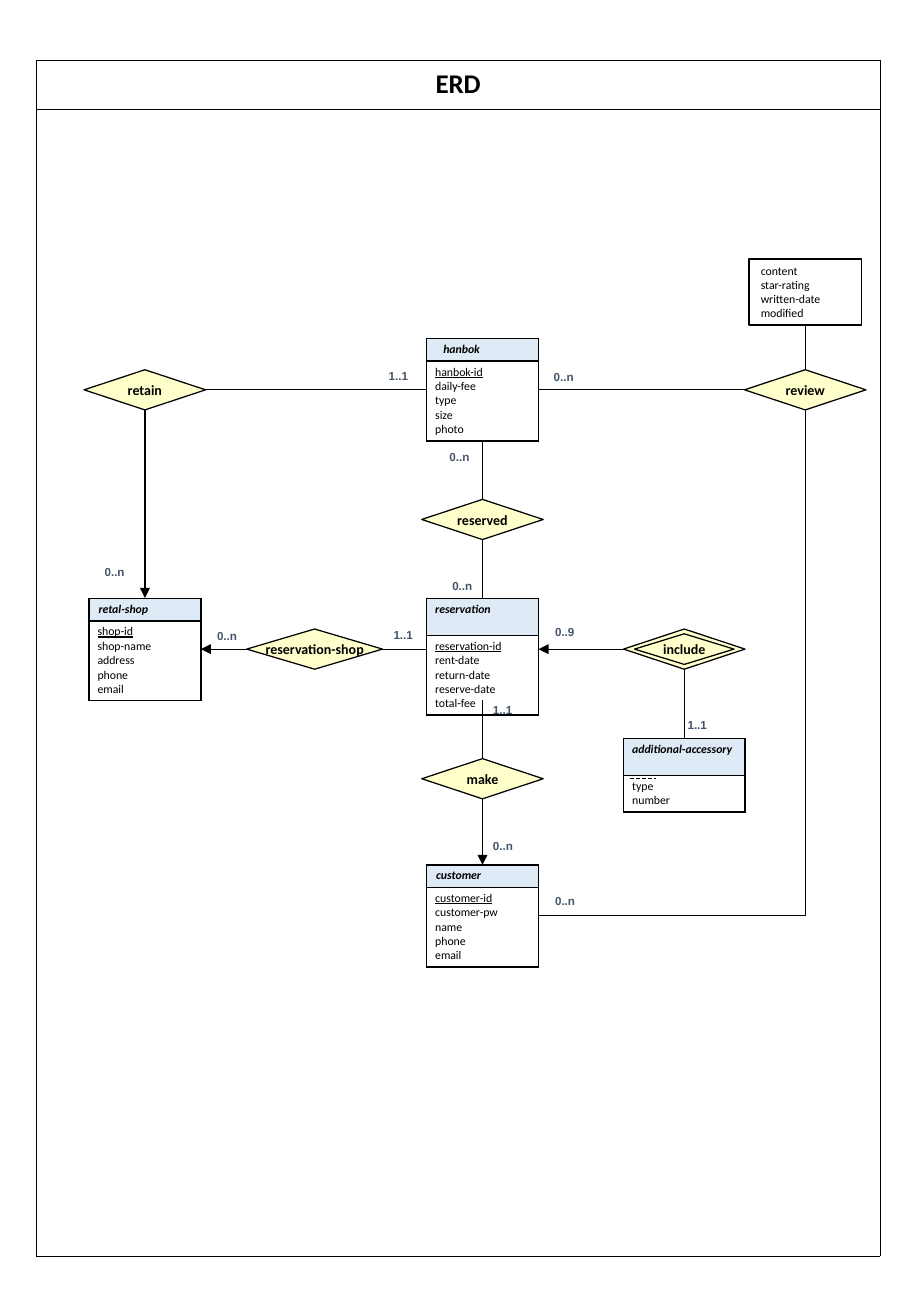
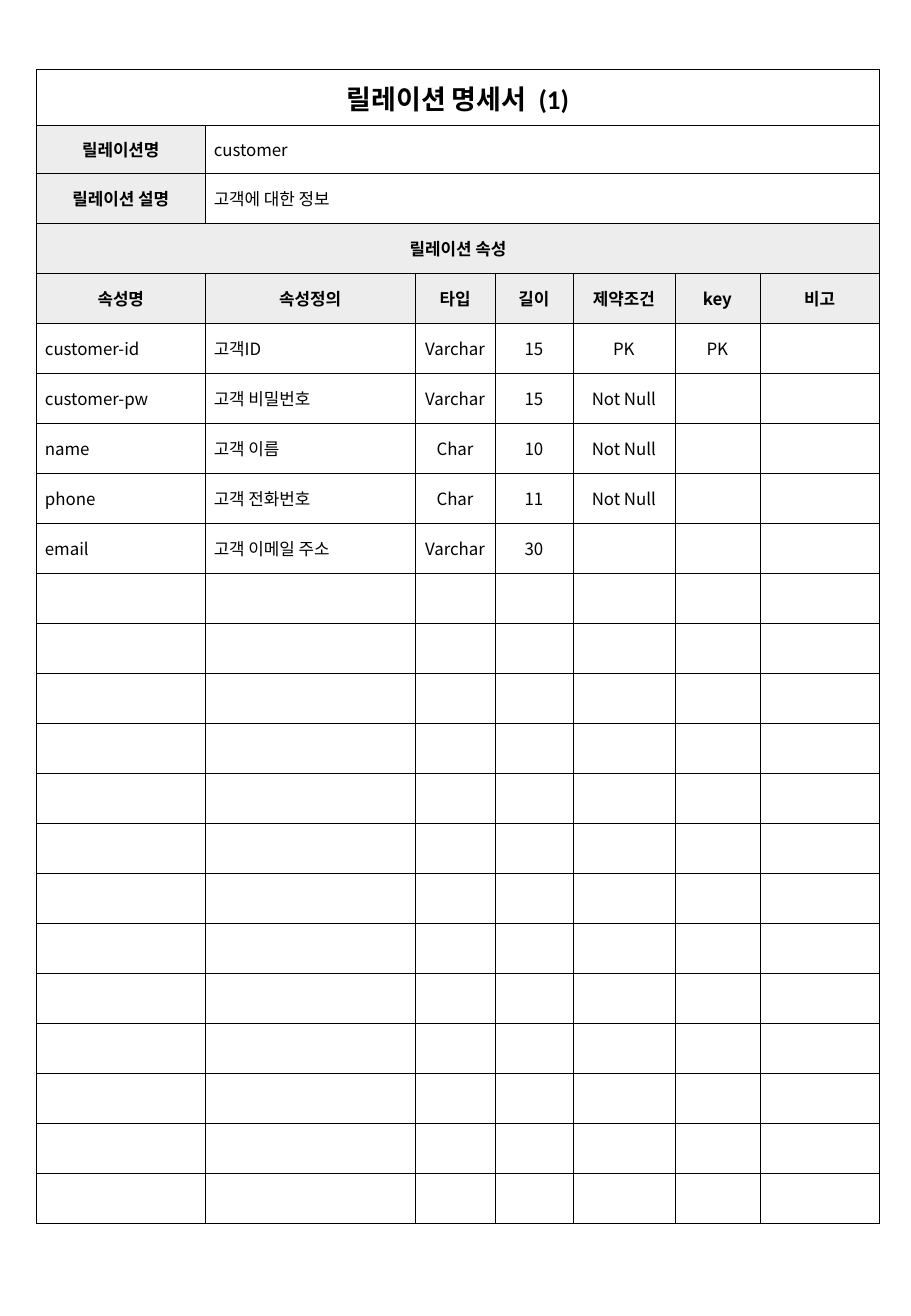
from lxml import etree
from pptx import Presentation
from pptx.dml.color import RGBColor
from pptx.enum import dml, shapes, text
from pptx.oxml import ns
from pptx.util import Cm, Pt

BLACK = RGBColor(0x00, 0x00, 0x00)
WHITE = RGBColor(0xFF, 0xFF, 0xFF)
HEADER_BLUE = RGBColor(0xDE, 0xEB, 0xF7)
HEADER_GREY = RGBColor(0xED, 0xED, 0xED)
RELATION_YELLOW = RGBColor(0xFF, 0xFF, 0xCC)
LABEL_SLATE = RGBColor(0x44, 0x54, 0x6A)

LATIN, LABEL_FONT, KOREAN = "Calibri", "Arial", "Noto Sans CJK KR"
LEFT, WIDTH = 0.76, 17.64
HAIRLINE = Pt(0.25)

SHOP_X, RENTAL_X, CENTRE_X, INCLUDE_X, REVIEW_X = 2.27, 5.82, 9.33, 13.55, 16.08
HANBOK_Y, RESERVED_Y, RESERVATION_Y, MAKE_Y, CUSTOMER_Y = 5.87, 8.58, 11.29, 14.0, 16.85
ENTITY_WIDTH = 2.34
DIAMOND_WIDTH, DIAMOND_HEIGHT = 2.54, 0.84
CENTRE_LEFT, CENTRE_RIGHT = CENTRE_X - ENTITY_WIDTH / 2, CENTRE_X + ENTITY_WIDTH / 2
HALF_W, HALF_H = DIAMOND_WIDTH / 2, DIAMOND_HEIGHT / 2

ENTITIES = [
    ("hanbok", CENTRE_X, 4.8, ENTITY_WIDTH, 0.47, 0.35,
     ["hanbok-id", "daily-fee", "type", "size", "photo"], True),
    ("reservation", CENTRE_X, 10.23, ENTITY_WIDTH, 0.77, 0.18,
     ["reservation-id", "rent-date", "return-date", "reserve-date", "total-fee"], True),
    ("customer", CENTRE_X, 15.8, ENTITY_WIDTH, 0.47, 0.2,
     ["customer-id", "customer-pw", "name", "phone", "email"], True),
    ("retal-shop", SHOP_X, 10.23, ENTITY_WIDTH, 0.47, 0.2,
     ["shop-id", "shop-name", "address", "phone", "email"], True),
    ("additional-accessory", INCLUDE_X, 13.16, DIAMOND_WIDTH, 0.77, 0.18,
     ["type", "number"], False),
]
RELATIONS = [
    ("retain", SHOP_X, HANBOK_Y, DIAMOND_WIDTH),
    ("review", REVIEW_X, HANBOK_Y, DIAMOND_WIDTH),
    ("reserved", CENTRE_X, RESERVED_Y, DIAMOND_WIDTH),
    ("reservation-shop", RENTAL_X, RESERVATION_Y, 2.84),
    ("include", INCLUDE_X, RESERVATION_Y, DIAMOND_WIDTH),
    ("make", CENTRE_X, MAKE_Y, DIAMOND_WIDTH),
]
LINKS = [
    ((CENTRE_LEFT, HANBOK_Y), (SHOP_X + HALF_W, HANBOK_Y), False),
    ((REVIEW_X - HALF_W, HANBOK_Y), (CENTRE_RIGHT, HANBOK_Y), False),
    ((REVIEW_X, HANBOK_Y - HALF_H), (REVIEW_X, 4.5), False),
    ((SHOP_X, HANBOK_Y + HALF_H), (SHOP_X, 10.22), True),
    ((CENTRE_X, 6.94), (CENTRE_X, RESERVED_Y - HALF_H), False),
    ((CENTRE_X, RESERVED_Y + HALF_H), (CENTRE_X, 10.22), False),
    ((RENTAL_X + 1.42, RESERVATION_Y), (CENTRE_LEFT, RESERVATION_Y), False),
    ((RENTAL_X - 1.42, RESERVATION_Y), (SHOP_X + ENTITY_WIDTH / 2, RESERVATION_Y), True),
    ((INCLUDE_X - HALF_W, RESERVATION_Y), (CENTRE_RIGHT, RESERVATION_Y), True),
    ((INCLUDE_X, RESERVATION_Y + HALF_H), (INCLUDE_X, 13.16), False),
    ((CENTRE_X, MAKE_Y - HALF_H), (CENTRE_X, 12.35), False),
    ((CENTRE_X, MAKE_Y + HALF_H), (CENTRE_X, 15.8), True),
]
CARDINALITIES = [
    ("1..1", 7.12, 5.31), ("0..n", 10.57, 5.32), ("0..n", 8.39, 6.99),
    ("0..n", 1.18, 9.4), ("0..n", 8.45, 9.69), ("0..n", 3.53, 10.74),
    ("1..1", 7.22, 10.72), ("0..9", 10.6, 10.65), ("1..1", 9.3, 12.28),
    ("1..1", 13.37, 12.6), ("0..n", 9.3, 15.14), ("0..n", 10.6, 16.29),
]

COLUMN_WIDTHS = [3.53, 4.39, 1.67, 1.63, 2.13, 1.78, 2.5]
TITLE = "릴레이션 명세서  (1)"
SUMMARY = [["릴레이션명", "customer"], ["릴레이션 설명", "고객에 대한 정보"]]
SECTION = "릴레이션 속성"
HEADINGS = ["속성명", "속성정의", "타입", "길이", "제약조건", "key", "비고"]
ATTRIBUTES = [
    ["customer-id", "고객ID", "Varchar", "15", "PK", "PK"],
    ["customer-pw", "고객 비밀번호", "Varchar", "15", "Not Null"],
    ["name", "고객 이름", "Char", "10", "Not Null"],
    ["phone", "고객 전화번호", "Char", "11", "Not Null"],
    ["email", "고객 이메일 주소", "Varchar", "30"],
]
ROW_COUNT = 23


def write(frame, lines, size, name=LATIN, color=BLACK, bold=False, italic=False, align=None):
    """Fill a text frame with equally formatted paragraphs."""
    frame.text = "\n".join(lines)
    for paragraph in frame.paragraphs:
        paragraph.alignment = align
        font = paragraph.font
        font.name, font.size, font.bold, font.italic = name, Pt(size), bold, italic
        font.color.rgb = color
        defaults = paragraph._p.pPr.find(ns.qn("a:defRPr"))
        etree.SubElement(defaults, ns.qn("a:ea"), typeface=KOREAN)


def outline(shape, width, fill=None):
    """Give a shape a black outline and a plain or absent fill."""
    shape.shadow.inherit = False
    shape.line.color.rgb = BLACK
    shape.line.width = width
    if fill is None:
        shape.fill.background()
    else:
        shape.fill.solid()
        shape.fill.fore_color.rgb = fill


def format_cell(cell, fill, border):
    """Set the borders, fill and margins of a table cell."""
    properties = cell._tc.get_or_add_tcPr()
    for side in ("a:lnL", "a:lnR", "a:lnT", "a:lnB"):
        edge = etree.SubElement(properties, ns.qn(side), w=str(int(border)))
        paint = etree.SubElement(edge, ns.qn("a:solidFill"))
        etree.SubElement(paint, ns.qn("a:srgbClr"), val=str(BLACK))
    cell.fill.solid()
    cell.fill.fore_color.rgb = fill
    cell.margin_left = cell.margin_right = Cm(0.18)
    cell.margin_top = cell.margin_bottom = Cm(0.08)


def write_title(cell, title):
    """Write a slide title in the top cell of a table."""
    cell.vertical_anchor = text.MSO_ANCHOR.MIDDLE
    write(cell.text_frame, [title], 16, bold=True, align=text.PP_ALIGN.CENTER)


def add_grid(slide, left, top, widths, heights):
    """Add an unbanded table with the given columns and rows."""
    grid = slide.shapes.add_table(len(heights), len(widths), Cm(left), Cm(top),
                                  Cm(sum(widths)), Cm(sum(heights))).table
    grid.first_row = grid.horz_banding = False
    for column, width in zip(grid.columns, widths):
        column.width = Cm(width)
    for row, height in zip(grid.rows, heights):
        row.height = Cm(height)
    return grid


def add_entity(slide, left, top, name, width, header_height, inset, attributes, keyed):
    """Draw an entity as a header over its attribute list."""
    body_height = 0.3 * len(attributes) + 0.15
    entity = add_grid(slide, left, top, [width], [header_height, body_height])
    header, body = entity.cell(0, 0), entity.cell(1, 0)
    format_cell(header, HEADER_BLUE, Pt(1))
    format_cell(body, WHITE, Pt(1))
    header.margin_left = Cm(inset)
    header.margin_right = 0
    write(header.text_frame, [name], 7, bold=True, italic=True)
    write(body.text_frame, attributes, 7)
    if keyed:
        body.text_frame.paragraphs[0].font.underline = True


def add_diamond(slide, x, y, width, height, fill=None):
    """Draw a diamond centred on a point."""
    diamond = slide.shapes.add_shape(
        shapes.MSO_SHAPE.FLOWCHART_DECISION, Cm(x - width / 2), Cm(y - height / 2),
        Cm(width), Cm(height))
    outline(diamond, Pt(0.75), fill)
    return diamond


def add_link(slide, start, end, width=0.75, kind=shapes.MSO_CONNECTOR.STRAIGHT, arrow=False):
    """Join two points by a black connector."""
    link = slide.shapes.add_connector(kind, *(Cm(v) for v in (*start, *end)))
    link.line.color.rgb = BLACK
    link.line.width = Pt(width)
    if arrow:
        etree.SubElement(link.line._get_or_add_ln(), ns.qn("a:tailEnd"), type="triangle")
    etree.SubElement(link._element.spPr, ns.qn("a:effectLst"))
    return link


def add_corner_link(slide, start, end):
    """Run a connector down from start, then left to end."""
    drop, run = end[1] - start[1], start[0] - end[0]
    x, y = (start[0] + end[0] - drop) / 2, (start[1] + end[1] - run) / 2
    corner = add_link(slide, (x, y), (x + drop, y + run), 0.5, shapes.MSO_CONNECTOR.ELBOW)
    properties = corner._element.spPr
    properties.find(ns.qn("a:xfrm")).set("rot", "5400000")
    properties.find(ns.qn("a:prstGeom")).set("prst", "bentConnector2")


def add_review_attributes(slide, x, y):
    """Draw the attribute box of the review relation."""
    review = slide.shapes.add_shape(shapes.MSO_SHAPE.RECTANGLE, Cm(x - 1.18), Cm(y),
                                    Cm(2.36), Cm(1.38))
    outline(review, Pt(1), WHITE)
    write(review.text_frame, ["content", "star-rating", "written-date", "modified"], 7,
          align=text.PP_ALIGN.LEFT)


def add_cardinality(slide, x, y, count):
    """Place a cardinality label."""
    label = slide.shapes.add_textbox(Cm(x), Cm(y), Cm(0.93), Cm(0.56)).text_frame
    label.word_wrap = False
    write(label, [count], 6.9, LABEL_FONT, LABEL_SLATE, bold=True)


def draw_erd(slide, left, top):
    """Draw the titled frame and the entity relationship diagram in it."""
    band, body = 1.03, 23.97
    frame = add_grid(slide, left, top, [WIDTH], [band, body])
    for row in range(2):
        format_cell(frame.cell(row, 0), WHITE, HAIRLINE)
    write_title(frame.cell(0, 0), "ERD")

    def place(x, y):
        return left + x, top + band + y

    for name, x, y, entity_width, *details in ENTITIES:
        add_entity(slide, *place(x - entity_width / 2, y), name, entity_width, *details)
    for name, x, y, diamond_width in RELATIONS:
        relation = add_diamond(slide, *place(x, y), diamond_width, DIAMOND_HEIGHT,
                               RELATION_YELLOW)
        relation.text_frame.word_wrap = False
        write(relation.text_frame, [name], 8.3, bold=True, align=text.PP_ALIGN.CENTER)
    add_diamond(slide, *place(INCLUDE_X, RESERVATION_Y), 2.08, 0.64)
    add_review_attributes(slide, *place(REVIEW_X, 3.13))
    for start, end, arrow in LINKS:
        add_link(slide, place(*start), place(*end), arrow=arrow)
    add_corner_link(slide, place(REVIEW_X, HANBOK_Y + HALF_H), place(CENTRE_RIGHT, CUSTOMER_Y))
    partial_key = add_link(slide, place(12.42, 14.0), place(12.96, 14.0), 0.5)
    partial_key.line.dash_style = dml.MSO_LINE.DASH
    for count, x, y in CARDINALITIES:
        add_cardinality(slide, *place(x, y), count)


def draw_relation_table(slide, left, top):
    """Build the titled table that specifies one relation."""
    row_height = 21.95 / (ROW_COUNT - 2)
    grid = add_grid(slide, left, top, COLUMN_WIDTHS,
                    [1.17, 1.0] + [row_height] * (ROW_COUNT - 2))
    contents = [[], *SUMMARY, [SECTION], HEADINGS, *ATTRIBUTES]
    contents += [[]] * (ROW_COUNT - len(contents))
    for r, values in enumerate(contents):
        for c in range(len(COLUMN_WIDTHS)):
            cell = grid.cell(r, c)
            heading = r in (3, 4) or (r in (1, 2) and c == 0)
            format_cell(cell, HEADER_GREY if heading else WHITE, HAIRLINE)
            cell.vertical_anchor = text.MSO_ANCHOR.MIDDLE
            if c < len(values):
                centred = heading or c > 1
                write(cell.text_frame, [values[c]], 10, KOREAN, bold=heading,
                      align=text.PP_ALIGN.CENTER if centred else text.PP_ALIGN.LEFT)
    write_title(grid.cell(0, 0), TITLE)
    for r, first in enumerate((0, 1, 1, 0)):
        grid.cell(r, first).merge(grid.cell(r, len(COLUMN_WIDTHS) - 1))


def main():
    """Build and save both slides."""
    deck = Presentation()
    deck.slide_width, deck.slide_height = Cm(19.05), Cm(27.51)
    blank = deck.slide_layouts[6]
    draw_erd(deck.slides.add_slide(blank), LEFT, 1.25)
    draw_relation_table(deck.slides.add_slide(blank), LEFT, 1.45)
    deck.save("out.pptx")


if __name__ == "__main__":
    main()
